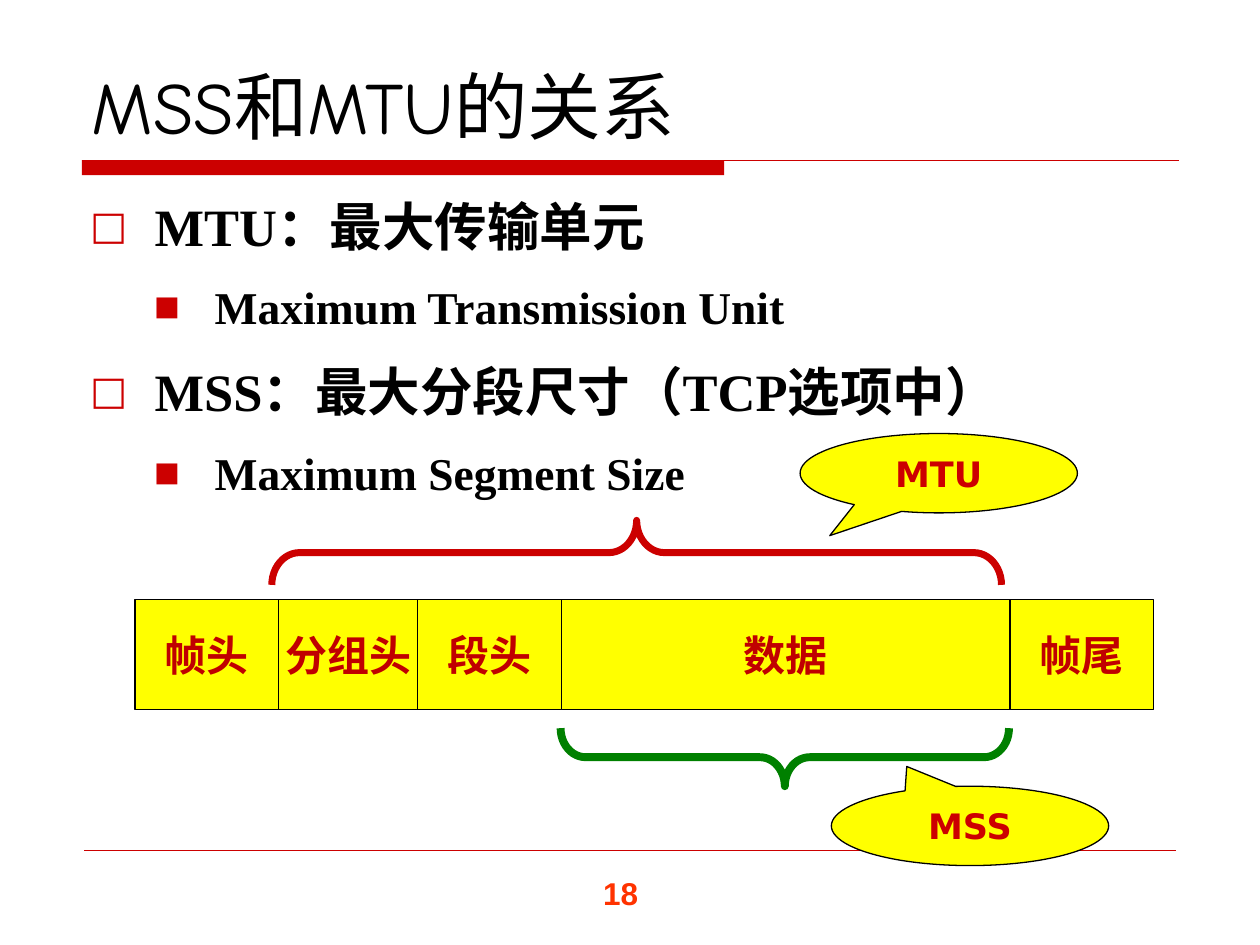
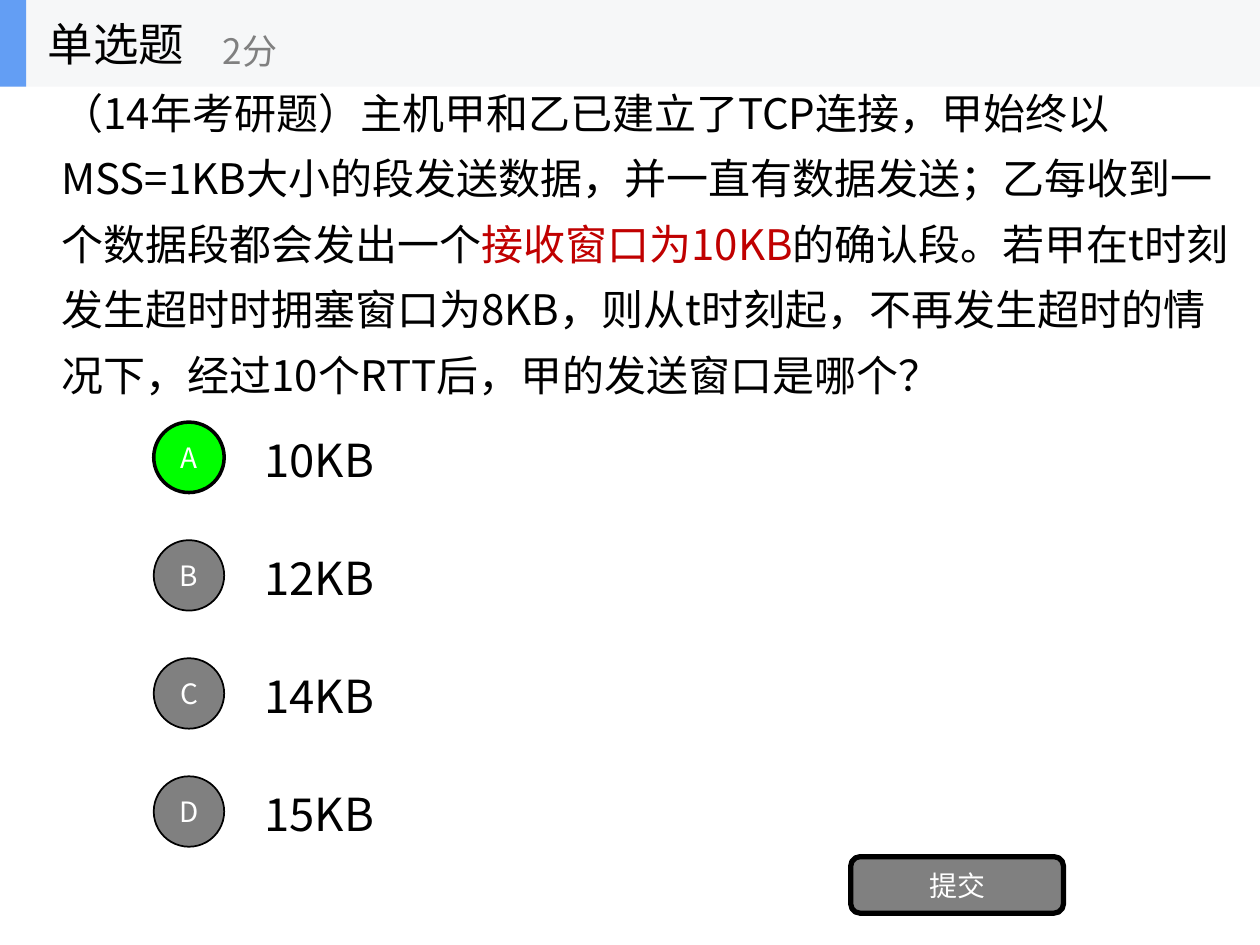
from dataclasses import dataclass
from itertools import accumulate

from lxml import etree
from pptx import Presentation
from pptx.dml.color import RGBColor
from pptx.enum.shapes import MSO_CONNECTOR, MSO_SHAPE
from pptx.enum.text import MSO_ANCHOR, PP_ALIGN
from pptx.oxml.ns import qn
from pptx.util import Cm, Pt

RECTANGLE = MSO_SHAPE.RECTANGLE
ROUNDED = MSO_SHAPE.ROUNDED_RECTANGLE
OVAL = MSO_SHAPE.OVAL
BRACE = MSO_SHAPE.RIGHT_BRACE
CALLOUT = MSO_SHAPE.OVAL_CALLOUT
STRAIGHT = MSO_CONNECTOR.STRAIGHT
TOP, MIDDLE, BOTTOM = MSO_ANCHOR.TOP, MSO_ANCHOR.MIDDLE, MSO_ANCHOR.BOTTOM
LEFT, CENTER = PP_ALIGN.LEFT, PP_ALIGN.CENTER


@dataclass(frozen=True)
class Theme:
    black: str = "000000"
    white: str = "FFFFFF"
    red: str = "CC0000"
    dark_red: str = "C00000"
    orange: str = "FF3300"
    yellow: str = "FFFF00"
    green: str = "008000"
    lime: str = "00FF00"
    gray: str = "808080"
    band: str = "F6F7F8"
    blue: str = "639EF4"
    cjk: str = "Noto Sans CJK SC"
    title_font: str = "Comic Neue"
    body_font: str = "Times New Roman"
    label_font: str = "DejaVu Sans"
    number_font: str = "Arial"
    title: int = 42
    heading: int = 26
    label: int = 24
    small: int = 20
    number: int = 18
    button: int = 16


THEME = Theme()

TITLE = "MSS和MTU的关系"
PAGE_NUMBER = "18"
TERMS = [
    (0, "MTU：最大传输单元"),
    (1, "Maximum Transmission Unit"),
    (0, "MSS：最大分段尺寸（TCP选项中）"),
    (1, "Maximum Segment Size"),
]
LEVELS = [
    {"size": 30, "before": 7.5, "margin": 1.3, "hang": 1.3, "bullet": "□", "percent": 75},
    {"size": 26, "before": 6.5, "margin": 2.51, "hang": 1.22, "bullet": "■", "percent": 60},
]
FRAME_FIELDS = [("帧头", 2.9), ("分组头", 2.8), ("段头", 2.9), ("数据", 9.04), ("帧尾", 2.9)]
BRACES = [
    ((5.48, 10.49, 14.71, 1.3), 270, THEME.red, 4),
    ((11.3, 14.68, 9.04, 1.17), 90, THEME.green, 4.5),
]
CALLOUTS = [
    ("MTU", (16.13, 8.74, 5.59, 1.6), (-0.393, 0.787)),
    ("MSS", (16.76, 15.85, 5.59, 1.6), (-0.228, -0.749)),
]

QUESTION_TYPE = "单选题"
POINTS = "2分"
QUESTION = [
    ("（14年考研题）主机甲和乙已建立了TCP连接，甲始终以MSS=1KB大小的段发送数据，"
     "并一直有数据发送；乙每收到一个数据段都会发出一个", THEME.black),
    ("接收窗口为10KB", THEME.dark_red),
    ("的确认段。若甲在t时刻发生超时时拥塞窗口为8KB，则从t时刻起，不再发生超时的情况下，"
     "经过10个RTT后，甲的发送窗口是哪个？", THEME.black),
]
CHOICES = [("A", "10KB"), ("B", "12KB"), ("C", "14KB"), ("D", "15KB")]
CORRECT = "A"
SUBMIT = "提交"


def rgb(color):
    return RGBColor.from_string(color)


def style_span(span, size, color, font=THEME.cjk, bold=False):
    span.font.size = Pt(size)
    span.font.bold = bold
    span.font.color.rgb = rgb(color)
    span.font.name = font
    properties = span.font._element
    etree.SubElement(properties, qn("a:ea")).set("typeface", THEME.cjk)


def write(shape, text, align=LEFT, anchor=MIDDLE, wrap=True, **style):
    frame = shape.text_frame
    frame.text = text
    frame.word_wrap = wrap
    frame.vertical_anchor = anchor
    frame.paragraphs[0].alignment = align
    for span in frame.paragraphs[0].runs:
        style_span(span, **style)


def add_text(page, area, text, **style):
    box = page.shapes.add_textbox(*map(Cm, area))
    write(box, text, **style)
    return box


def add_figure(page, kind, area, fill=None, line=None, weight=0.75):
    shape = page.shapes.add_shape(kind, *map(Cm, area))
    shape.shadow.inherit = False
    if fill:
        shape.fill.solid()
        shape.fill.fore_color.rgb = rgb(fill)
    else:
        shape.fill.background()
    if line:
        shape.line.color.rgb = rgb(line)
        shape.line.width = Pt(weight)
    else:
        shape.line.fill.background()
    return shape


def add_rule(page, left, right, top, weight):
    rule = page.shapes.add_connector(STRAIGHT, Cm(left), Cm(top), Cm(right), Cm(top))
    rule.line.color.rgb = rgb(THEME.red)
    rule.line.width = Pt(weight)
    etree.SubElement(rule._element.spPr, qn("a:effectLst"))


def add_bullet(paragraph, level):
    properties = paragraph._p.get_or_add_pPr()
    properties.set("marL", str(Cm(level["margin"])))
    properties.set("indent", str(-Cm(level["hang"])))
    color = etree.SubElement(properties, qn("a:buClr"))
    etree.SubElement(color, qn("a:srgbClr")).set("val", THEME.red)
    etree.SubElement(properties, qn("a:buSzPct")).set("val", str(level["percent"] * 1000))
    etree.SubElement(properties, qn("a:buFont")).set("typeface", THEME.label_font)
    etree.SubElement(properties, qn("a:buChar")).set("char", level["bullet"])


def add_terms(page):
    box = page.shapes.add_textbox(Cm(1.57), Cm(3.53), Cm(22.22), Cm(13.21))
    frame = box.text_frame
    frame.word_wrap = True
    frame.text = "\n".join(text for _, text in TERMS)
    for index, (paragraph, (depth, _)) in enumerate(zip(frame.paragraphs, TERMS)):
        level = LEVELS[depth]
        add_bullet(paragraph, level)
        paragraph.line_spacing = 1.2
        if index:
            paragraph.space_before = Pt(level["before"])
        style_span(paragraph.runs[0], level["size"], THEME.black, THEME.body_font, True)


def add_brace(page, area, turn, color, weight):
    left, top, width, height = area
    shift = (width - height) / 2
    brace = add_figure(page, BRACE, (left + shift, top - shift, height, width),
                       line=color, weight=weight)
    brace.adjustments[0] = 0.43
    brace.rotation = turn


def build_relation_page(page):
    add_figure(page, RECTANGLE, (1.65, 3.23, 12.95, 0.3), THEME.red)
    add_rule(page, 1.65, 23.77, 3.23, 0.75)
    add_rule(page, 1.7, 23.7, 17.15, 0.25)
    add_text(page, (11.91, 17.5, 1.9, 1.02), PAGE_NUMBER, anchor=TOP, size=THEME.number,
             color=THEME.orange, font=THEME.number_font, bold=True)
    add_text(page, (1.6, 0.84, 22.22, 2.29), TITLE, anchor=BOTTOM, size=THEME.title,
             color=THEME.black, font=THEME.title_font)
    add_terms(page)

    lefts = accumulate((width for _, width in FRAME_FIELDS), initial=2.72)
    for left, (name, width) in zip(lefts, FRAME_FIELDS):
        field = add_figure(page, RECTANGLE, (left, 12.09, width, 2.21),
                           THEME.yellow, THEME.black)
        write(field, name, align=CENTER, wrap=False, size=THEME.label,
              color=THEME.dark_red, font=THEME.label_font, bold=True)
    for brace in BRACES:
        add_brace(page, *brace)
    for name, area, tip in CALLOUTS:
        callout = add_figure(page, CALLOUT, area, THEME.yellow, THEME.black)
        callout.adjustments[0], callout.adjustments[1] = tip
        write(callout, name, align=CENTER, size=THEME.small, color=THEME.red,
              font=THEME.label_font, bold=True)


def add_button(page, kind, area, text, fill, weight):
    button = add_figure(page, kind, area, fill, THEME.black, weight)
    write(button, text, align=CENTER, wrap=False, size=THEME.button, color=THEME.white)


def add_question(page):
    box = page.shapes.add_textbox(Cm(0.99), Cm(1.19), Cm(24.05), Cm(7.14))
    frame = box.text_frame
    frame.word_wrap = True
    frame.vertical_anchor = MIDDLE
    paragraph = frame.paragraphs[0]
    paragraph.line_spacing = 1.3
    for text, color in QUESTION:
        span = paragraph.add_run()
        span.text = text
        style_span(span, THEME.label, color)


def build_question_page(page):
    add_question(page)
    for index, (letter, answer) in enumerate(CHOICES):
        top = 8.51 + 2.38 * index
        fill, weight = (THEME.lime, 2) if letter == CORRECT else (THEME.gray, 1)
        add_text(page, (5.08, top - 0.15, 17.78, 1.78), answer,
                 size=THEME.heading, color=THEME.black)
        add_button(page, OVAL, (3.1, top, 1.42, 1.42), letter, fill, weight)
    add_button(page, ROUNDED, (17.15, 17.27, 4.29, 1.14), SUBMIT, THEME.gray, 3)
    add_figure(page, RECTANGLE, (0, 0, 25.4, 1.75), THEME.band)
    add_figure(page, RECTANGLE, (0, 0, 0.53, 1.75), THEME.blue)
    add_text(page, (0.71, 0, 5.28, 1.75), QUESTION_TYPE,
             size=THEME.heading, color=THEME.black)
    add_text(page, (4.24, 0.3, 6.35, 1.42), POINTS, size=THEME.small, color=THEME.gray)


def main():
    deck = Presentation()
    deck.slide_width, deck.slide_height = Cm(25.4), Cm(19.05)
    for build in (build_relation_page, build_question_page):
        build(deck.slides.add_slide(deck.slide_layouts[6]))
    deck.save("out.pptx")


if __name__ == "__main__":
    main()
